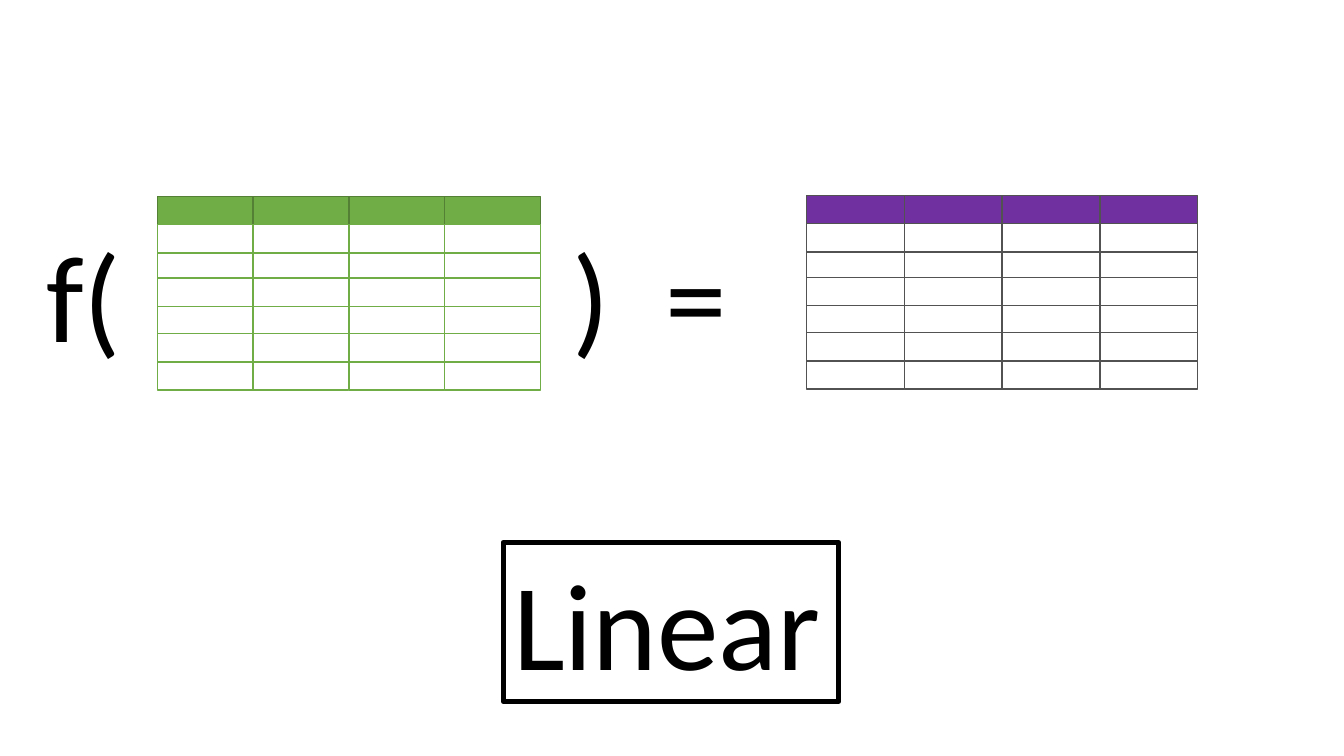
from pptx import Presentation
from pptx.dml.color import RGBColor
from pptx.enum.shapes import MSO_SHAPE
from pptx.enum.text import MSO_AUTO_SIZE
from pptx.util import Inches, Pt

COLORS = {
    "black": "000000",
    "white": "FFFFFF",
    "green": "70AD47",
    "dark green": "538035",
    "purple": "7030A0",
    "gray": "525252",
}
COLUMNS = 4
ROW_HEIGHT = 0.28
ROW_OFFSETS = [0, 0.28, 0.56, 0.81, 1.09, 1.36, 1.64]


def color(name):
    return RGBColor.from_string(COLORS[name])


class SlideBuilder:
    font = "Calibri"
    size = Pt(88)

    def __init__(self, page):
        self.page = page

    def cell(self, group, left, top, width, fill, line):
        box = group.shapes.add_shape(
            MSO_SHAPE.RECTANGLE,
            Inches(left), Inches(top), Inches(width), Inches(ROW_HEIGHT))
        box.shadow.inherit = False
        box.fill.solid()
        box.fill.fore_color.rgb = color(fill)
        box.line.color.rgb = color(line)
        box.line.width = Pt(1)

    def grid(self, left, top, width, header, header_line, body_line):
        """Draw a grouped grid of cells with a filled header row."""
        group = self.page.shapes.add_group_shape()
        for row, offset in enumerate(ROW_OFFSETS):
            fill, line = ("white", body_line) if row else (header, header_line)
            for column in range(COLUMNS):
                self.cell(group, left + column * width, top + offset,
                          width, fill, line)

    def text(self, words, left, top, width, height):
        box = self.page.shapes.add_textbox(
            Inches(left), Inches(top), Inches(width), Inches(height))
        frame = box.text_frame
        frame.word_wrap = True
        frame.auto_size = MSO_AUTO_SIZE.SHAPE_TO_FIT_TEXT
        span = frame.paragraphs[0].add_run()
        span.text = words
        span.font.name = self.font
        span.font.size = self.size
        span.font.color.rgb = color("black")
        return box

    def framed_text(self, words, left, top, width, height):
        box = self.text(words, left, top, width, height)
        box.line.color.rgb = color("black")
        box.line.width = Pt(3.5)


def main():
    deck = Presentation()
    deck.slide_width = Inches(13.33)
    deck.slide_height = Inches(7.5)
    builder = SlideBuilder(deck.slides.add_slide(deck.slide_layouts[6]))

    builder.grid(1.56, 1.95, 0.95, "green", "dark green", "green")
    builder.grid(8, 1.94, 0.97, "purple", "gray", "gray")
    builder.text("f(", 0.36, 2.13, 0.97, 1.58)
    builder.text(")  =", 5.58, 2.13, 2.06, 1.58)
    builder.framed_text("Linear", 4.99, 5.38, 3.33, 1.58)

    deck.save("out.pptx")


if __name__ == "__main__":
    main()
